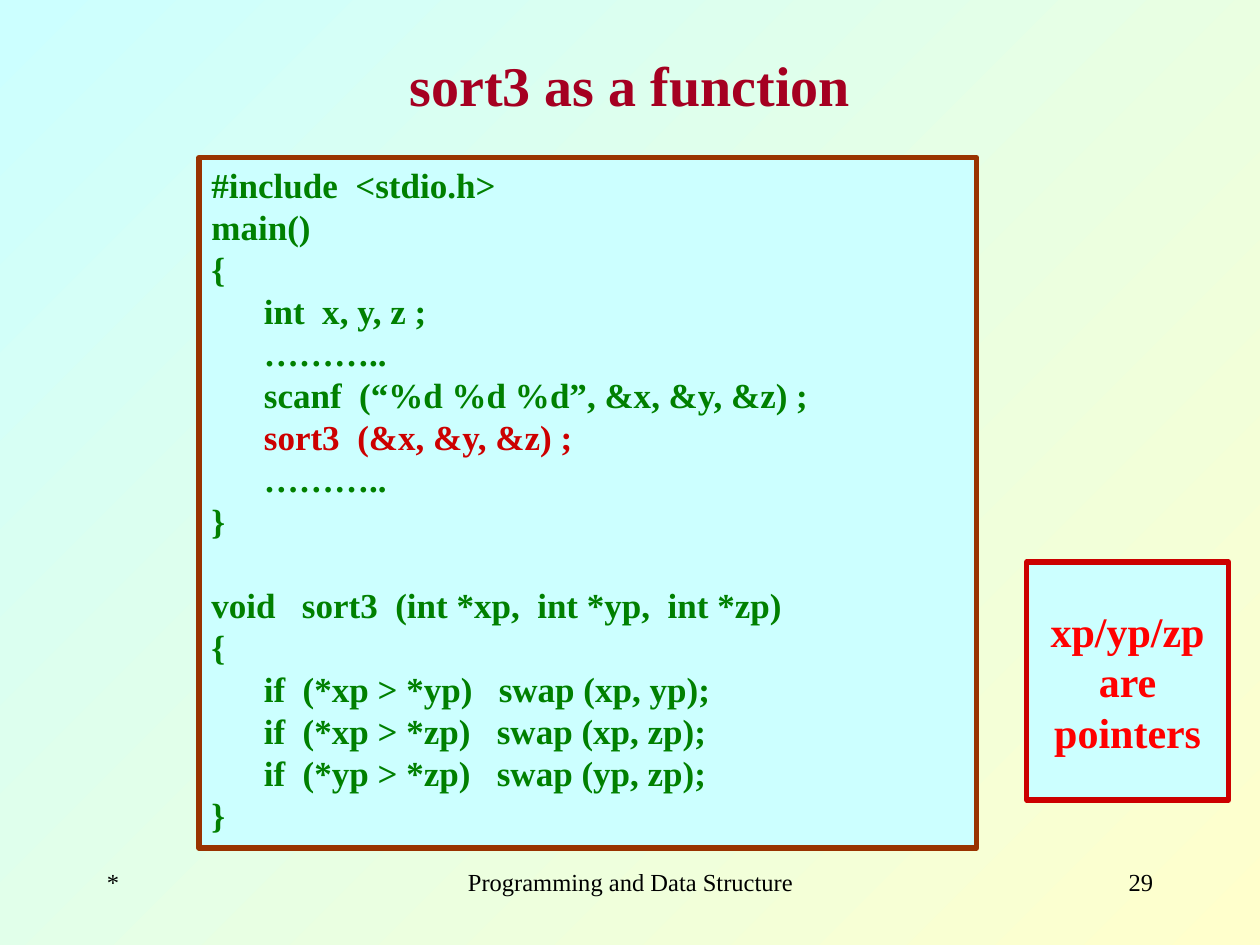
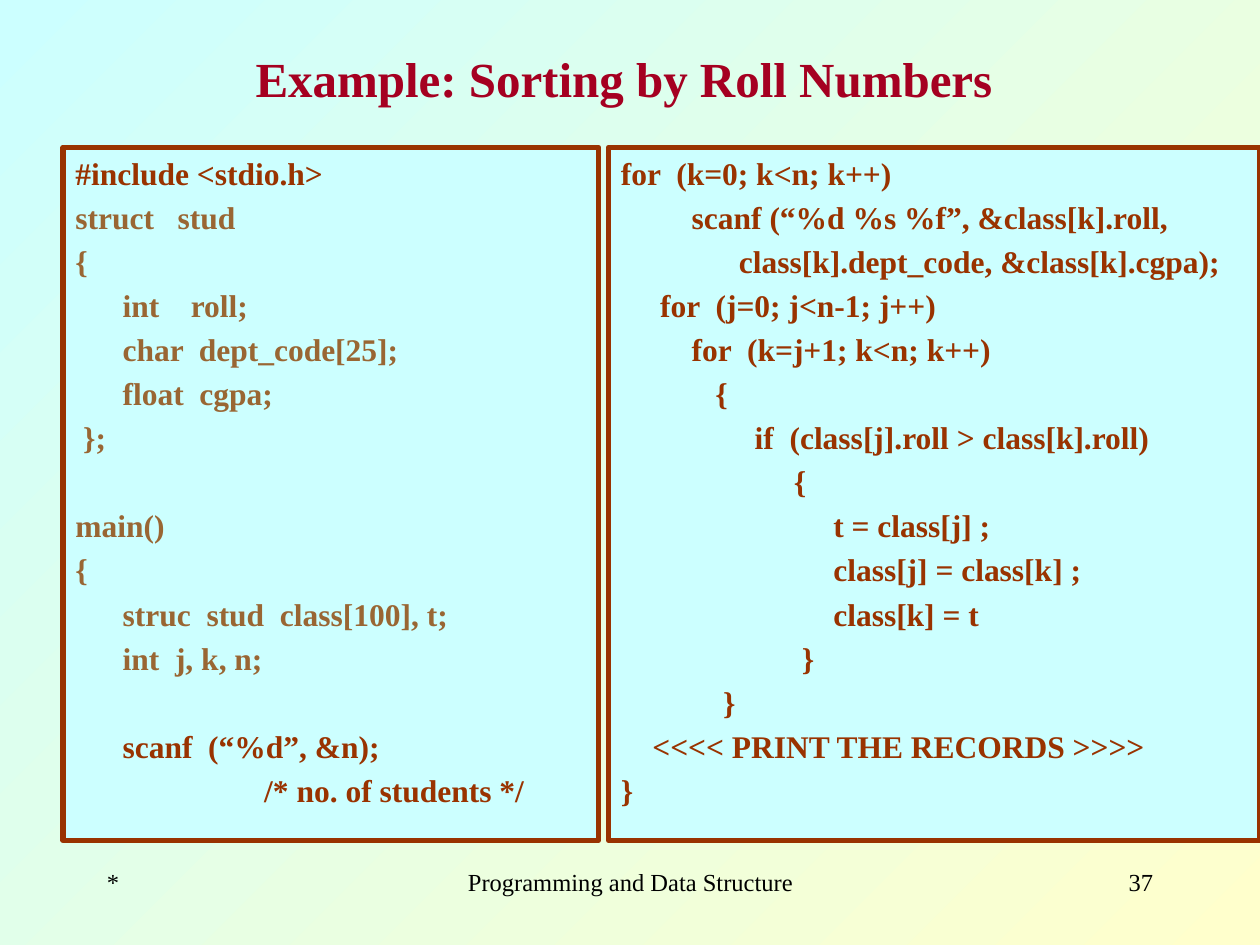
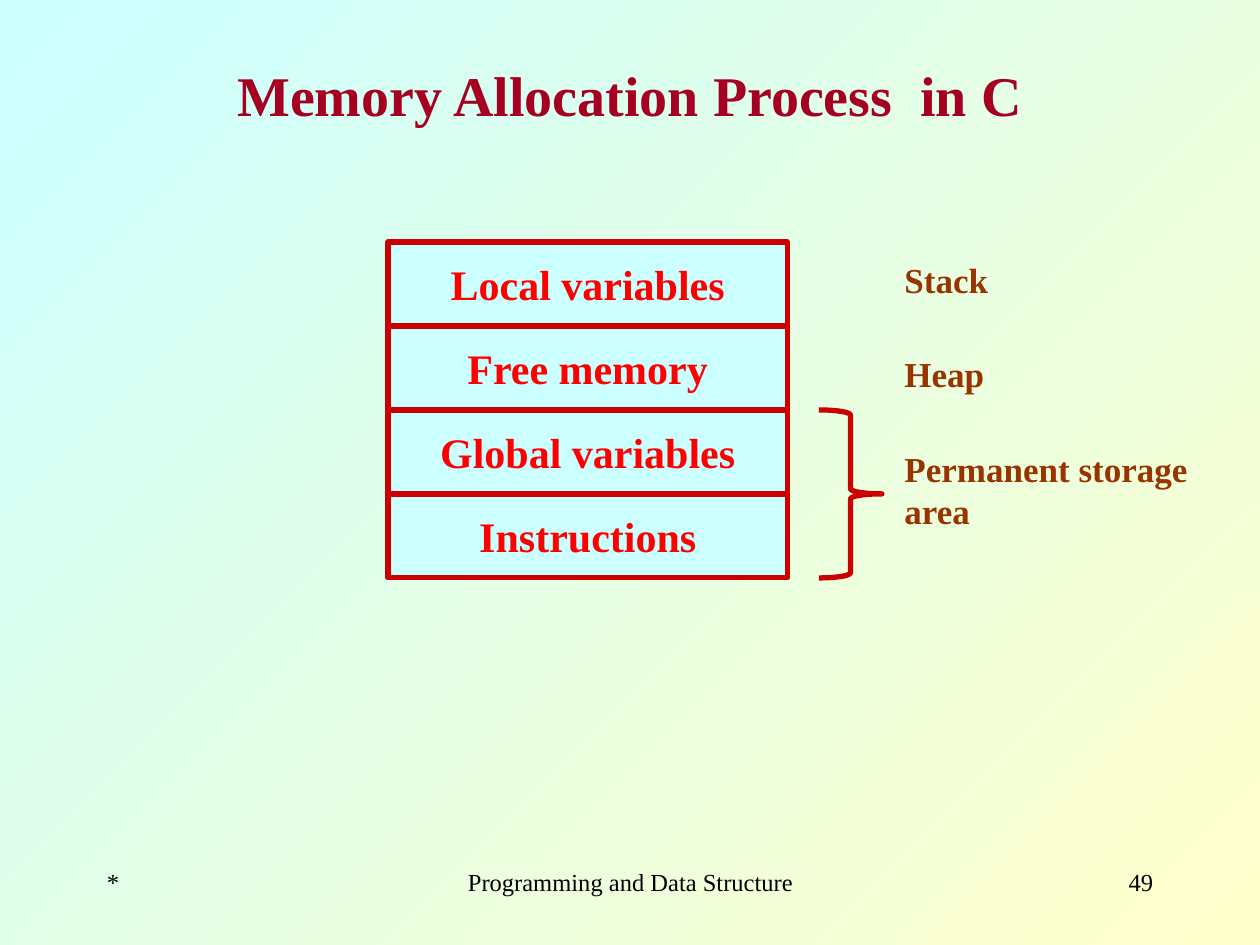
from pptx import Presentation
from pptx import util as u
from pptx.dml.color import RGBColor
from pptx.enum import shapes, text

FONT = "Times New Roman"
INK = {
    "sky": "CCFFFF", "cream": "FFFFCC", "black": "000000", "title": "A50021",
    "brown": "993300", "tan": "996633", "green": "008000",
    "edge": "CC0000", "red": "FF0000",
}
FOOT = "Programming and Data Structure"
LEAD = 1.2  # line height as a multiple of the text size

# Code, as groups of (colour, lines); an empty line opens a gap
SORT3 = [
    ("green", [
        "#include  <stdio.h>",
        "main()",
        "{",
        "      int  x, y, z ;",
        "      ………..",
        "      scanf  (“%d %d %d”, &x, &y, &z) ;",
    ]),
    ("edge", ["      sort3  (&x, &y, &z) ;"]),
    ("green", [
        "      ………..",
        "}",
        "",
        "void   sort3  (int *xp,  int *yp,  int *zp)",
        "{",
        "      if  (*xp > *yp)   swap (xp, yp);",
        "      if  (*xp > *zp)   swap (xp, zp);",
        "      if  (*yp > *zp)   swap (yp, zp);",
        "}",
    ]),
]
NOTE = ["xp/yp/zp", "are", "pointers"]

INPUT = [
    ("brown", ["#include <stdio.h>"]),
    ("tan", [
        "struct   stud",
        "{",
        "      int    roll;",
        "      char  dept_code[25];",
        "      float  cgpa;",
        " };",
        "",
        "main()",
        "{",
        "      struc  stud  class[100], t;",
        "      int  j, k, n;",
    ]),
    ("brown", [
        "",
        "      scanf  (“%d”, &n);",
        "                        /* no. of students */",
    ]),
]
LOOPS = [
    ("brown", [
        "for  (k=0; k<n; k++)",
        "         scanf (“%d %s %f”, &class[k].roll,",
        "               class[k].dept_code, &class[k].cgpa);",
        "     for  (j=0; j<n-1; j++)",
        "         for  (k=j+1; k<n; k++)",
        "            {",
        "                 if  (class[j].roll > class[k].roll)",
        "                      {",
        "                           t = class[j] ;",
        "                           class[j] = class[k] ;",
        "                           class[k] = t",
        "                       }",
        "             }",
        "    <<<< PRINT THE RECORDS >>>>",
        "}",
    ]),
]

MEMORY = ["Local variables", "Free memory", "Global variables", "Instructions"]
AREAS = [("Stack", 2, 0.43), ("Heap", 2.75, 0.43),
         ("Permanent storage area", 3.5, 0.77)]

ALIGN = text.PP_ALIGN
ANCHOR = text.MSO_ANCHOR
SHAPE = shapes.MSO_SHAPE


def color(name):
    return RGBColor.from_string(INK[name])


def inches(box):
    return [u.Inches(v) for v in box]


def setup(frame, anchor):
    frame.word_wrap = True
    frame.auto_size = text.MSO_AUTO_SIZE.NONE
    frame.vertical_anchor = anchor
    frame.margin_left = frame.margin_right = u.Inches(0.1)
    frame.margin_top = frame.margin_bottom = u.Inches(0.05)


def write(frame, groups, size, align=ALIGN.LEFT, bold=True, space=0):
    """Write one paragraph per line; an empty line becomes space before."""
    lines = [(ink, line) for ink, part in groups for line in part]
    para, gap = None, 0
    for ink, line in lines:
        if not line:
            gap += size * LEAD + space
            continue
        first = para is None
        para = frame.paragraphs[0] if first else frame.add_paragraph()
        para.alignment = align
        para.space_before = u.Pt(0 if first else space + gap)
        gap = 0
        run = para.add_run()
        run.text = line
        run.font.name, run.font.size, run.font.bold = FONT, u.Pt(size), bold
        run.font.color.rgb = color(ink)


def label(slide, box, line, size, ink, align=ALIGN.LEFT, bold=True):
    frame = slide.shapes.add_textbox(*inches(box)).text_frame
    setup(frame, ANCHOR.TOP)
    write(frame, [(ink, [line])], size, align, bold)


def outline(slide, kind, box, edge):
    shape = slide.shapes.add_shape(kind, *inches(box))
    shape.shadow.inherit = False
    shape.line.color.rgb = color(edge)
    shape.line.width = u.Pt(3)
    return shape


def panel(slide, box, edge, anchor):
    shape = outline(slide, SHAPE.RECTANGLE, box, edge)
    shape.fill.solid()
    shape.fill.fore_color.rgb = color("sky")
    setup(shape.text_frame, anchor)
    return shape.text_frame


def listing(slide, box, groups, size, space=0):
    write(panel(slide, box, "brown", ANCHOR.TOP), groups, size, space=space)


def card(slide, box, lines):
    frame = panel(slide, box, "edge", ANCHOR.MIDDLE)
    write(frame, [("red", lines)], 24, ALIGN.CENTER)


def page(deck, title, high, number, size=32):
    """Add a slide with its title and footer."""
    slide = deck.slides.add_slide(deck.slide_layouts[5])
    head = slide.shapes.title
    head.left, head.top, head.width, head.height = inches(
        (0.75, 0.33, 8.5, high))
    setup(head.text_frame, ANCHOR.MIDDLE)
    write(head.text_frame, [("title", [title])], size, ALIGN.CENTER)
    for left, wide, line, align in (
            (0.75, 2.08, "*", ALIGN.LEFT),
            (3.42, 3.17, FOOT, ALIGN.CENTER),
            (7.17, 2.08, str(number), ALIGN.RIGHT)):
        label(slide, (left, 6.83, wide, 0.5), line, 14, "black", align, False)
    return slide


def paint(master):
    """Give every slide the diagonal gradient."""
    fill = master.background.fill
    fill.gradient()
    fill.gradient_angle = 315
    for stop, ink in zip(fill.gradient_stops, ("sky", "cream")):
        stop.color.rgb = color(ink)


def main():
    deck = Presentation()
    deck.slide_width, deck.slide_height = u.Inches(10), u.Inches(7.5)
    paint(deck.slide_master)

    # Function with pointers
    slide = page(deck, "sort3 as a function", 0.67, 29)
    listing(slide, (1.58, 1.25, 6.17, 5.48), SORT3, 20)
    card(slide, (8.15, 4.46, 1.6, 1.89), NOTE)

    # Sorting records, in two columns
    slide = page(deck, "Example: Sorting by Roll Numbers ", 0.58, 37, 28)
    for left, wide, code in ((0.5, 4.25, INPUT), (4.83, 5.17, LOOPS)):
        listing(slide, (left, 1.17, wide, 5.5), code, 18, 3.6)

    # Memory stack with its areas
    slide = page(deck, "Memory Allocation Process  in C", 0.83, 49)
    top, step = 1.92, 2 / 3
    for i, name in enumerate(MEMORY):
        card(slide, (3.08, top + i * step, 3.17, step), [name])
    brace = outline(slide, SHAPE.RIGHT_BRACE,
                    (6.5, top + 2 * step, 0.5, 2 * step), "edge")
    brace.fill.background()
    brace.adjustments[0] = 0.08
    for name, y, high in AREAS:
        label(slide, (7.08, y, 2.67, high), name, 20, "brown")

    deck.save("out.pptx")


if __name__ == "__main__":
    main()
